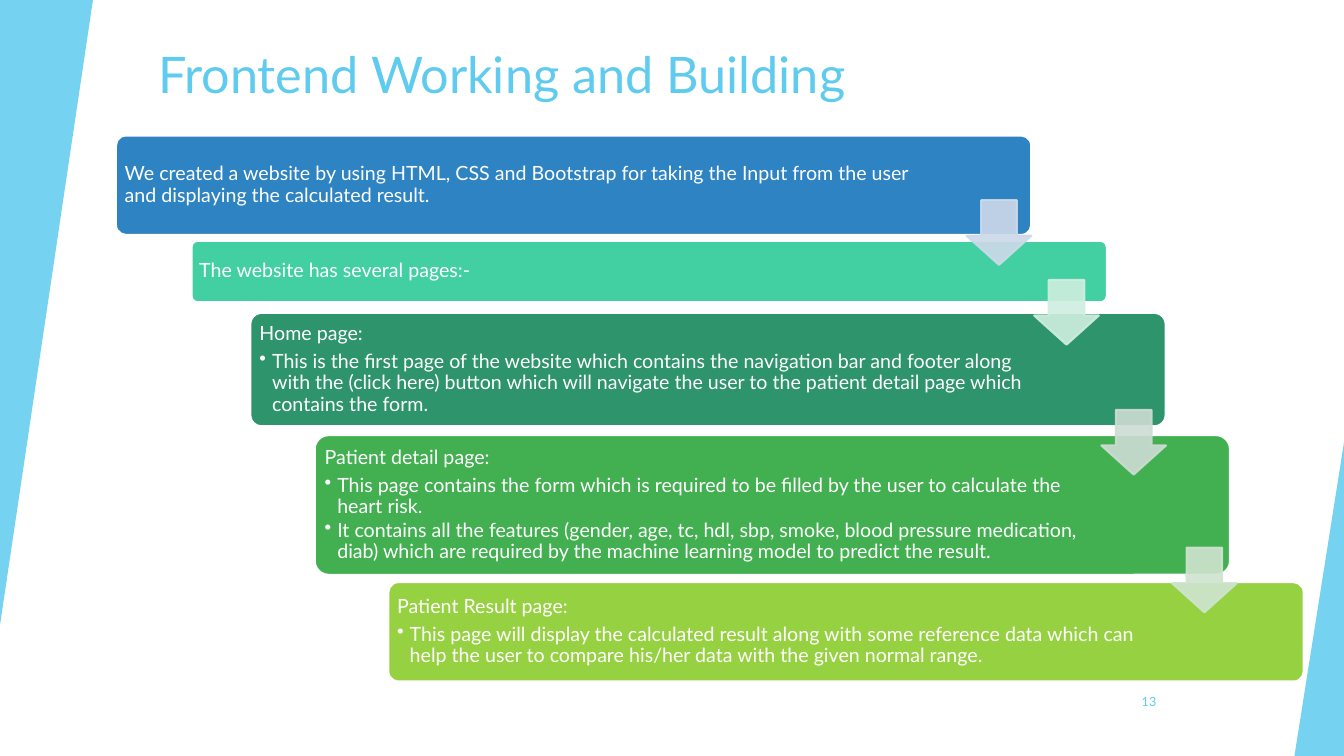
"""Build the "Frontend Working and Building" slide with five stepped panels."""
from lxml.etree import SubElement
from pptx import Presentation
from pptx.dml.color import RGBColor
from pptx.enum.shapes import MSO_SHAPE as SHAPE
from pptx.enum.text import MSO_ANCHOR as ANCHOR, PP_ALIGN as ALIGN
from pptx.oxml.ns import qn
from pptx.util import Pt

SKY, WHITE = "5FCBEF", "FFFFFF"


def paint(fill, color, alpha=100):
    """Fill with a hex colour at an opacity in percent."""
    fill.solid()
    fill.fore_color.rgb = RGBColor.from_string(color)
    if alpha < 100:
        rgb = fill._xPr.find(".//" + qn("a:srgbClr"))
        SubElement(rgb, qn("a:alpha"), val=str(alpha * 1000))


def add_shape(kind, box, adjustments, color, alpha=100, line=None):
    """Add a preset shape with box lengths in points."""
    sp = s.shapes.add_shape(kind, *map(Pt, box))
    sp.shadow.inherit = False
    for i, value in enumerate(adjustments):
        sp.adjustments[i] = value
    paint(sp.fill, color, alpha)
    if line:
        paint(sp.line.fill, line, alpha)
        sp.line.width = Pt(1.5)
    else:
        sp.line.fill.background()
    return sp


prs = Presentation()
prs.slide_width, prs.slide_height = Pt(960), Pt(540)
s = prs.slides.add_slide(prs.slide_layouts[6])

labels = [
    ("Frontend Working and Building", (105.8, 26.6, 802.8, 56.9), 36,
     {"alignment": ALIGN.LEFT, "line_spacing": 0.9}),
    ("13", (779, 486.7, 54, 28.8), 9,
     {"alignment": ALIGN.RIGHT, "space_after": Pt(6)}),
]
for text, box, size, formats in labels:
    tf = s.shapes.add_textbox(*map(Pt, box)).text_frame
    tf.word_wrap = True
    tf.vertical_anchor = ANCHOR.MIDDLE
    p = tf.paragraphs[0]
    for name, value in formats.items():
        setattr(p, name, value)
    r = p.add_run()
    r.text = text
    r.font.name, r.font.size = "Lato", Pt(size)
    r.font.color.rgb = RGBColor.from_string(SKY)

corner = add_shape(SHAPE.ISOSCELES_TRIANGLE, (0, 0, 66.4, 446.4), [1], SKY, 85)
corner.rotation = 180
add_shape(SHAPE.ISOSCELES_TRIANGLE, (924.6, 316, 35.4, 224), [1], SKY, 85)

panels = [
    (82.8, 96.8, 71, 84.5, "2E83C3",
     ["We created a website by using HTML, CSS and Bootstrap for taking the Input "
      "from the user and displaying the calculated result."]),
    (136.8, 172, 43.9, 98.5, "42D0A2", ["The website has several pages:-"]),
    (178.8, 223.5, 81, 98.5, "2E946B",
     ["Home page:",
      "This is the first page of the website which contains the navigation bar and "
      "footer along with the (click here) button which will navigate the user to the "
      "patient detail page which contains the form."]),
    (224.8, 310.8, 99.8, 98.5, "42B051",
     ["Patient detail page:",
      "This page contains the form which is required to be filled by the user to "
      "calculate the heart risk.",
      "It contains all the features (gender, age, tc, hdl, sbp, smoke, blood pressure "
      "medication, diab) which are required by the machine learning model to predict "
      "the result."]),
    (277.4, 415.8, 71, 98.5, "96D141",
     ["Patient Result page:",
      "This page will display the calculated result along with some reference data "
      "which can help the user to compare his/her data with the given normal range."]),
]
for left, top, height, margin_right, color, texts in panels:
    sp = add_shape(SHAPE.ROUNDED_RECTANGLE, (left, top, 653.8, height), [0.1],
                   color, line=WHITE)
    tf = sp.text_frame
    frame = {"margin_left": Pt(4.2), "margin_right": Pt(margin_right),
             "margin_top": Pt(4.2), "margin_bottom": Pt(4.2),
             "word_wrap": True, "vertical_anchor": ANCHOR.MIDDLE}
    for name, value in frame.items():
        setattr(tf, name, value)
    for i, text in enumerate(texts):
        p = tf.add_paragraph() if i else tf.paragraphs[0]
        formats = {"alignment": ALIGN.LEFT, "line_spacing": 0.9,
                   "space_after": Pt(2.1 if i else 4.9), "level": min(i, 1)}
        for name, value in formats.items():
            setattr(p, name, value)
        pPr = p._p.get_or_add_pPr()
        pPr.set("marL", str(Pt(9 if i else 0)))
        pPr.set("indent", str(Pt(-9 if i else 0)))
        if i:
            SubElement(pPr, qn("a:buChar"), char="•")
        r = p.add_run()
        r.text = text
        r.font.name, r.font.size = "Lato", Pt(14)
        r.font.color.rgb = RGBColor.from_string(WHITE)

arrows = [(690.5, 143, "CDD9E9"), (738.7, 200, "CFEEE0"),
          (786.7, 292.8, "CDDCD4"), (837.2, 391.2, "CFE4D0")]
for left, top, color in arrows:
    add_shape(SHAPE.DOWN_ARROW, (left, top, 46.2, 46.2), [0.45, 0.55],
              color, 90, line=color)
    s.shapes[-1].adjustments[0] = 0.55
    s.shapes[-1].adjustments[1] = 0.45

prs.save("out.pptx")
